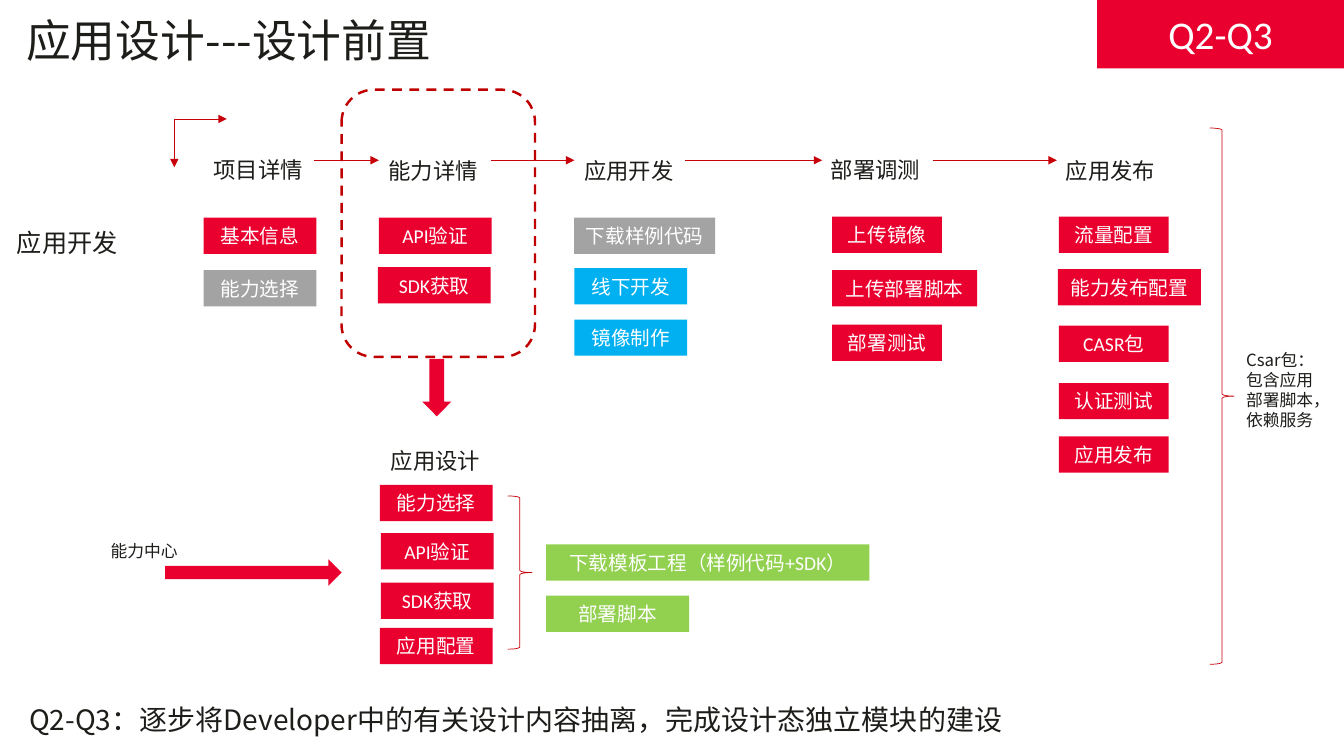
from dataclasses import dataclass

from lxml.etree import SubElement
from pptx import Presentation
from pptx.dml.color import RGBColor
from pptx.enum.dml import MSO_LINE
from pptx.enum.shapes import MSO_CONNECTOR, MSO_SHAPE
from pptx.enum.text import MSO_ANCHOR, MSO_AUTO_SIZE, PP_ALIGN
from pptx.oxml.ns import qn
from pptx.shapes.autoshape import Shape
from pptx.slide import Slide
from pptx.util import Inches, Length, Pt


@dataclass(frozen=True)
class Theme:
    red: str = "EA002F"
    gray: str = "A3A3A3"
    blue: str = "00B0F0"
    green: str = "92D050"
    line: str = "C7000A"
    frame: str = "C00000"
    ink: str = "1D1D1A"
    white: str = "FFFFFF"
    card_font: str = "Calibri"
    text_font: str = "Noto Sans CJK SC"
    title: float = 32
    badge: float = 28
    summary: float = 20
    section: float = 18
    heading: float = 16
    card: float = 14
    note: float = 12
    leading: float = 34.4
    thin: float = 0.5
    dashed: float = 1.75


@dataclass(frozen=True)
class Area:
    column: float
    row: float
    columns: float
    rows: float


@dataclass(frozen=True)
class Card:
    text: str
    column: float
    row: float
    columns: float
    fill: str


@dataclass(frozen=True)
class Label:
    text: str
    area: Area
    size: float
    leading: float | None = None
    wrap: bool = False


@dataclass(frozen=True)
class Arrow:
    start: tuple[float, float]
    end: tuple[float, float]


THEME = Theme()
CELL = 0.1  # inches per grid column and row
COLUMNS, ROWS = 133.4, 75
CARD_ROWS = 3.6
NARROW, MEDIUM = 10.9, 11.2
FLOW_ROW = 15.9

CARDS = [
    # Project details
    Card("基本信息", 20.2, 21.6, MEDIUM, THEME.red),
    Card("能力选择", 20.2, 26.8, MEDIUM, THEME.gray),
    # Capability details
    Card("API验证", 37.6, 21.6, MEDIUM, THEME.red),
    Card("SDK获取", 37.5, 26.5, MEDIUM, THEME.red),
    # Application development
    Card("下载样例代码", 57, 21.6, 14, THEME.gray),
    Card("线下开发", 57, 26.6, MEDIUM, THEME.blue),
    Card("镜像制作", 57, 31.7, MEDIUM, THEME.blue),
    # Deployment and testing
    Card("上传镜像", 82.6, 21.5, NARROW, THEME.red),
    Card("上传部署脚本", 82.6, 26.8, 14.4, THEME.red),
    Card("部署测试", 82.6, 32.2, NARROW, THEME.red),
    # Release
    Card("流量配置", 105.1, 21.5, NARROW, THEME.red),
    Card("能力发布配置", 105, 26.7, 14.2, THEME.red),
    Card("CASR包", 105.1, 32.3, NARROW, THEME.red),
    Card("认证测试", 105.1, 38, NARROW, THEME.red),
    Card("应用发布", 105.1, 43.3, NARROW, THEME.red),
    # Application design and its results
    Card("能力选择", 37.7, 48.1, MEDIUM, THEME.red),
    Card("API验证", 37.8, 52.9, MEDIUM, THEME.red),
    Card("SDK获取", 37.8, 57.8, MEDIUM, THEME.red),
    Card("应用配置", 37.7, 62.3, MEDIUM, THEME.red),
    Card("下载模板工程（样例代码+SDK）", 54.2, 54, 32.1, THEME.green),
    Card("部署脚本", 54.2, 59.1, 14.2, THEME.green),
]

HEADINGS = [
    ("项目详情", 20.2, 12.9),
    ("能力详情", 37.6, 13),
    ("应用开发", 57, 13),
    ("部署调测", 81.5, 12.9),
    ("应用发布", 104.8, 13),
    ("应用设计", 37.8, 41.8),
]

LABELS = [Label(text, Area(column, row, 11, 5.8), THEME.heading, THEME.leading)
          for text, column, row in HEADINGS] + [
    Label("应用开发", Area(0.7, 20.3, 12.1, 5.8), THEME.section, THEME.leading),
    Label("能力中心", Area(10, 53.2, 8.8, 3), THEME.note),
    Label("Csar包：\n包含应用部署脚本，依赖服务", Area(122.7, 34.2, 9.4, 9.1), THEME.note, wrap=True),
    Label("Q2-Q3：逐步将Developer中的有关设计内容抽离，完成设计态独立模块的建设",
          Area(1.9, 67.8, 100.6, 5.8), THEME.summary, THEME.leading),
]

CORNER = (17.3, 11.8)
ARROWS = [Arrow((start, FLOW_ROW), (end, FLOW_ROW)) for start, end in
          [(31.2, 37.6), (48.7, 57), (68, 81.6), (92.6, 104.9)]] + [
    Arrow(CORNER, (22.5, 11.8)),
    Arrow(CORNER, (17.3, 16.6)),
]

BRACES = [Area(50.4, 49.2, 2.4, 15.2), Area(120.1, 12.7, 2.4, 53.2)]
BLOCK_ARROWS = [
    (MSO_SHAPE.DOWN_ARROW, Area(41.9, 35.6, 2.9, 5.7)),
    (MSO_SHAPE.RIGHT_ARROW, Area(16.4, 55.5, 17.5, 2.6)),
]


def cells(count: float) -> Length:
    return Inches(count * CELL)


def bounds(area: Area) -> tuple[Length, Length, Length, Length]:
    return cells(area.column), cells(area.row), cells(area.columns), cells(area.rows)


def color(value: str) -> RGBColor:
    return RGBColor.from_string(value)


def style_text(box: Shape, size: float, font: str, ink: str, leading: float | None = None,
               align: PP_ALIGN = PP_ALIGN.LEFT) -> None:
    for para in box.text_frame.paragraphs:
        para.alignment = align
        if leading:
            para.line_spacing = Pt(leading)
        for span in para.runs:
            span.font.size = Pt(size)
            span.font.name = font
            span.font.color.rgb = color(ink)
            east_asian = SubElement(span.font._element, qn("a:ea"))
            east_asian.set("typeface", THEME.text_font)


def add_solid(page: Slide, kind: MSO_SHAPE, area: Area, fill: str) -> Shape:
    shape = page.shapes.add_shape(kind, *bounds(area))
    shape.shadow.inherit = False
    shape.fill.solid()
    shape.fill.fore_color.rgb = color(fill)
    shape.line.fill.background()
    return shape


def add_outline(page: Slide, kind: MSO_SHAPE, area: Area, line: str, width: float) -> Shape:
    shape = page.shapes.add_shape(kind, *bounds(area))
    shape.shadow.inherit = False
    shape.fill.background()
    shape.line.color.rgb = color(line)
    shape.line.width = Pt(width)
    return shape


def add_block(page: Slide, text: str, area: Area, fill: str, size: float) -> None:
    block = add_solid(page, MSO_SHAPE.RECTANGLE, area, fill)
    block.text_frame.text = text
    block.text_frame.vertical_anchor = MSO_ANCHOR.MIDDLE
    style_text(block, size, THEME.card_font, THEME.white, align=PP_ALIGN.CENTER)


def add_label(page: Slide, label: Label) -> Shape:
    box = page.shapes.add_textbox(*bounds(label.area))
    box.text_frame.text = label.text
    box.text_frame.word_wrap = label.wrap
    box.text_frame.auto_size = MSO_AUTO_SIZE.SHAPE_TO_FIT_TEXT
    style_text(box, label.size, THEME.text_font, THEME.ink, label.leading)
    return box


def add_arrow(page: Slide, arrow: Arrow) -> None:
    points = [cells(value) for value in arrow.start + arrow.end]
    connector = page.shapes.add_connector(MSO_CONNECTOR.STRAIGHT, *points)
    connector.line.color.rgb = color(THEME.line)
    connector.line.width = Pt(THEME.thin)
    SubElement(connector.line._get_or_add_ln(), qn("a:tailEnd")).set("type", "triangle")
    SubElement(connector._element.spPr, qn("a:effectLst"))


def main() -> None:
    deck = Presentation()
    deck.slide_width, deck.slide_height = cells(COLUMNS), cells(ROWS)
    page = deck.slides.add_slide(deck.slide_layouts[6])

    # Title and quarter badge
    title = add_label(page, Label("应用设计---设计前置", Area(2.6, 1.8, 117.5, 10.9),
                                  THEME.title, 34.3, wrap=True))
    frame = title.text_frame
    frame.auto_size = MSO_AUTO_SIZE.NONE
    frame.margin_left = frame.margin_top = frame.margin_right = frame.margin_bottom = 0
    add_block(page, "Q2-Q3", Area(108.9, 0, 24.5, 6.8), THEME.red, THEME.badge)

    # Stages, labels and flow
    for card in CARDS:
        area = Area(card.column, card.row, card.columns, CARD_ROWS)
        add_block(page, card.text, area, card.fill, THEME.card)
    for label in LABELS:
        add_label(page, label)
    for arrow in ARROWS:
        add_arrow(page, arrow)

    # Braces, block arrows and highlighted stage
    for area in BRACES:
        add_outline(page, MSO_SHAPE.RIGHT_BRACE, area, THEME.line, THEME.thin)
    for kind, area in BLOCK_ARROWS:
        add_solid(page, kind, area, THEME.red)
    highlight = add_outline(page, MSO_SHAPE.ROUNDED_RECTANGLE, Area(33.9, 8.9, 19.2, 26.5),
                            THEME.frame, THEME.dashed)
    highlight.line.dash_style = MSO_LINE.DASH

    deck.save("out.pptx")


if __name__ == "__main__":
    main()
